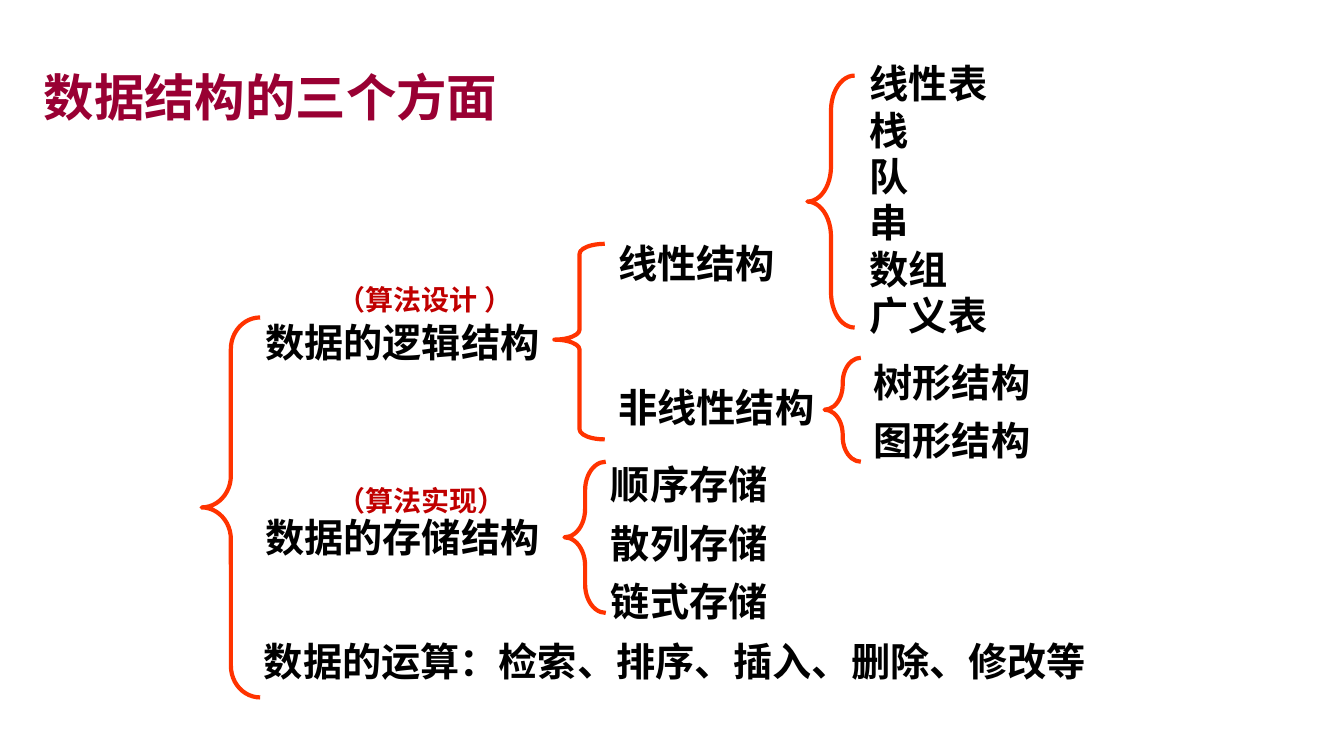
from pptx import Presentation
from pptx.dml.color import RGBColor as Rgb
from pptx.enum.shapes import MSO_SHAPE as Kind
from pptx.enum.text import MSO_ANCHOR as Anchor, MSO_AUTO_SIZE as Fit, PP_ALIGN as Align
from pptx.oxml.ns import qn
from pptx.util import Pt
from lxml.etree import SubElement as Sub

HEX = {"title": "990033", "note": "C00000", "text": "000000", "brace": "FF3300"}
SANS = "Noto Sans CJK SC"
SERIF = "Times New Roman"


def write(shape, text, size=28, font=SERIF, color="text"):
    """Put one bold line of text, centred in height, into a shape."""
    frame = shape.text_frame
    frame.word_wrap = True
    frame.auto_size = Fit.NONE
    frame.vertical_anchor = Anchor.MIDDLE
    par = frame.paragraphs[0]
    par.alignment = Align.LEFT
    run = par.add_run()
    run.text = text
    run.font.size = Pt(size)
    run.font.bold = True
    run.font.name = font
    run.font.color.rgb = Rgb.from_string(HEX[color])
    Sub(run.font._element, qn("a:ea"), typeface=SANS)


def label(slide, text, left, top, size=28, high=41, **fmt):
    wide = len(text) * size + 16
    box = slide.shapes.add_textbox(Pt(left), Pt(top), Pt(wide), Pt(high))
    write(box, text, size=size, **fmt)


def column(slide, items, left, top, step):
    for i, text in enumerate(items):
        label(slide, text, left, top + i * step)


def brace(slide, left, top, wide, high, curl, tip=0.5):
    shape = slide.shapes.add_shape(
        Kind.LEFT_BRACE, Pt(left), Pt(top), Pt(wide), Pt(high))
    shape.adjustments[0] = curl
    shape.adjustments[1] = tip
    shape.shadow.inherit = False
    shape.fill.background()
    shape.line.color.rgb = Rgb.from_string(HEX["brace"])
    shape.line.width = Pt(3)


def main():
    deck = Presentation()
    deck.slide_width, deck.slide_height = Pt(960), Pt(540)
    slide = deck.slides.add_slide(deck.slide_layouts[5])

    # Title
    title = slide.shapes.title
    title.left, title.top = Pt(24), Pt(43.2)
    title.width, title.height = Pt(900), Pt(51)
    write(title, "数据结构的三个方面", size=36, font=SANS, color="title")

    # Braces, from the root to the leaves
    brace(slide, 144, 226.8, 41.8, 271.4, 0.54)
    brace(slide, 396, 174.2, 36, 139.7, 0.2, tip=0.49)
    brace(slide, 403.2, 329.8, 29.5, 108, 0.69)
    brace(slide, 576.7, 54, 33.8, 180, 0.74)
    brace(slide, 589, 255.6, 25.9, 74.2, 0.69)

    # Three aspects
    column(slide, ["数据的逻辑结构", "数据的存储结构"], 182.5, 224, 139)
    label(slide, "数据的运算：检索、排序、插入、删除、修改等", 181.5, 451.4)

    # Notes above the first two aspects
    for text, top in (("（算法设计 ）", 198), ("（算法实现）", 341.3)):
        label(slide, text, 234, top, size=20, high=31.7, font=SANS, color="note")

    # Logical structures
    column(slide, ["线性结构", "非线性结构"], 434.7, 167, 103)
    column(slide, ["线性表", "栈", "队", "串", "数组", "广义表"], 614.2, 38.9, 33.12)
    column(slide, ["树形结构", "图形结构"], 617, 252, 41.8)

    # Storage structures
    column(slide, ["顺序存储", "散列存储", "链式存储"], 429.3, 325.4, 41.8)

    deck.save("out.pptx")


if __name__ == "__main__":
    main()
